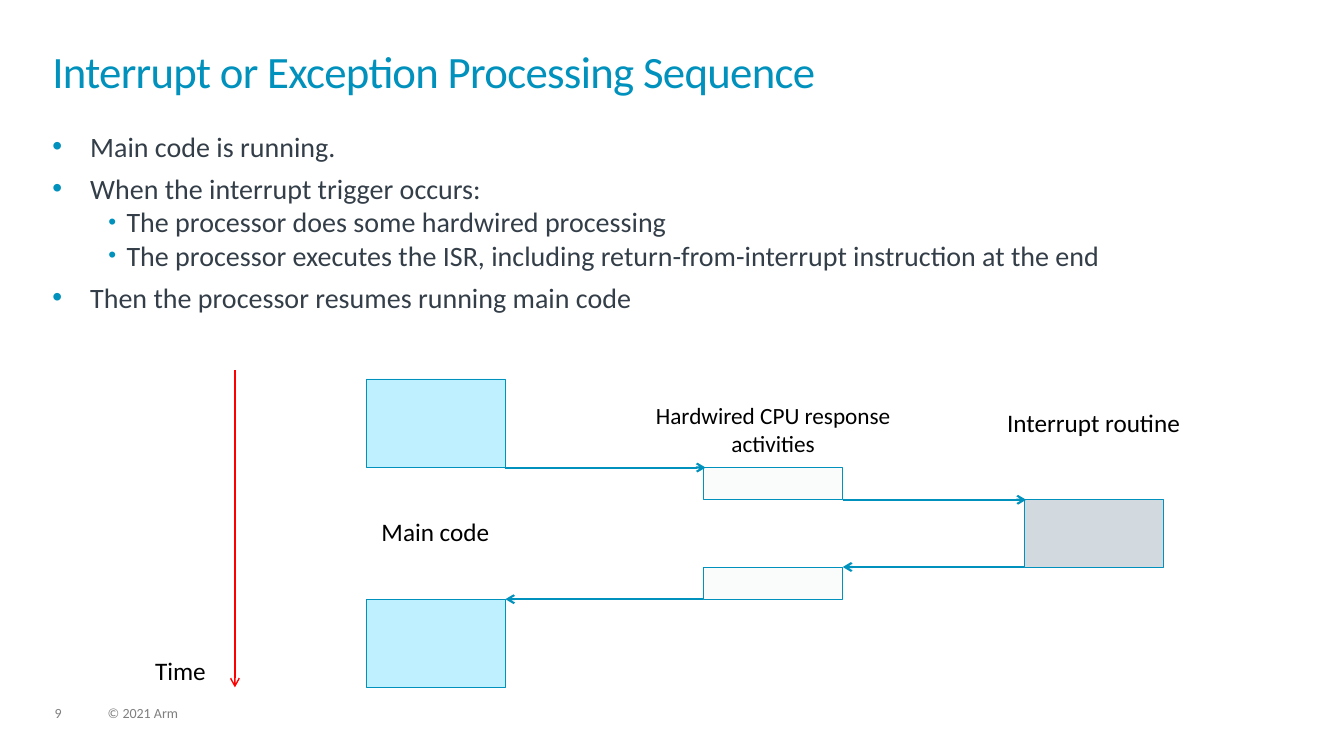
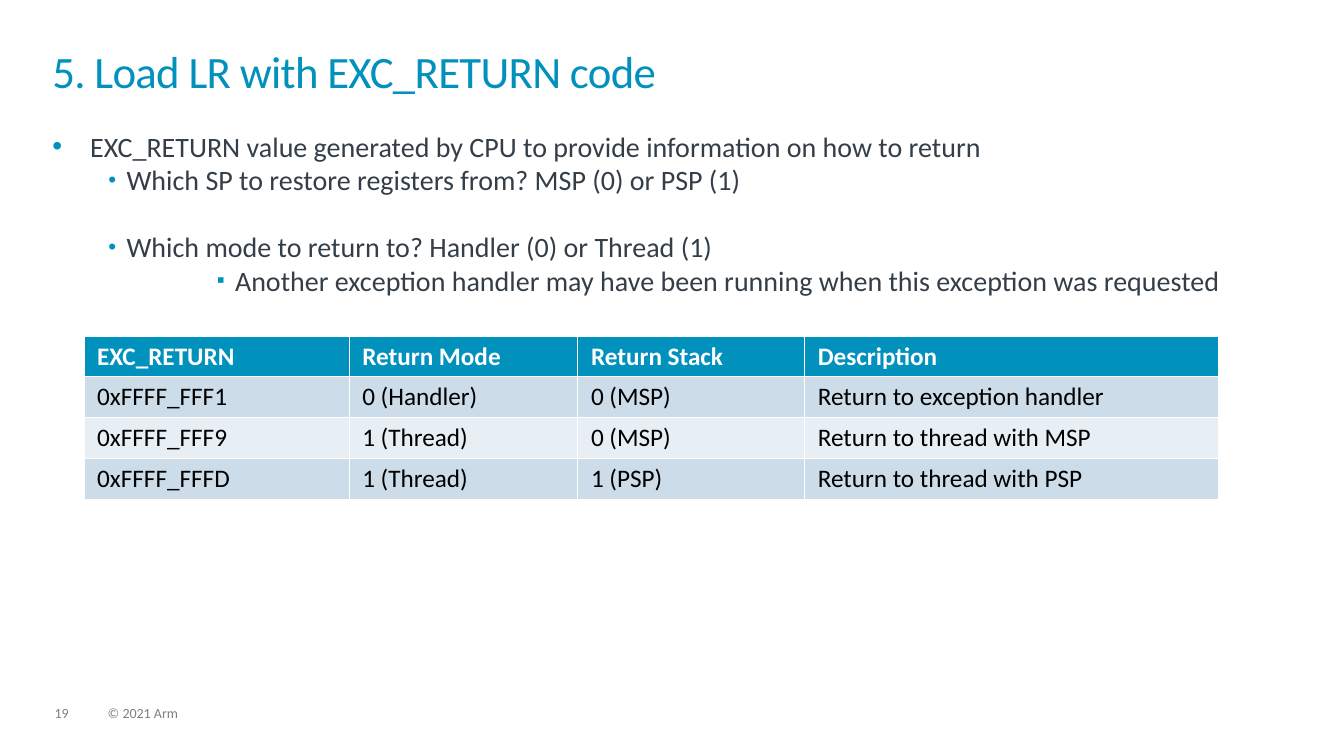
from lxml.etree import SubElement
from pptx import Presentation
from pptx.dml.color import RGBColor
from pptx.enum.shapes import MSO_CONNECTOR, MSO_SHAPE
from pptx.enum.text import MSO_ANCHOR, MSO_AUTO_SIZE, PP_ALIGN
from pptx.oxml.ns import qn
from pptx.util import Pt

BLUE = RGBColor(0x00, 0x91, 0xBD)
SLATE = RGBColor(0x33, 0x3E, 0x48)
GREY = RGBColor(0x7F, 0x7F, 0x7F)
BLACK = RGBColor(0x00, 0x00, 0x00)
WHITE = RGBColor(0xFF, 0xFF, 0xFF)
RED = RGBColor(0xFF, 0x00, 0x00)
PALE_BLUE = RGBColor(0xBF, 0xF0, 0xFF)
PALE_GREY = RGBColor(0xFA, 0xFB, 0xFB)
MID_GREY = RGBColor(0xD2, 0xD9, 0xDF)
BAND_DARK = RGBColor(0xCC, 0xDC, 0xE8)
BAND_LIGHT = RGBColor(0xE7, 0xEE, 0xF4)

FRAME = dict(margin_left=0, margin_top=0, margin_right=0, margin_bottom=0,
             word_wrap=True, auto_size=MSO_AUTO_SIZE.NONE,
             vertical_anchor=MSO_ANCHOR.TOP)
TITLE_P = dict(alignment=PP_ALIGN.LEFT, line_spacing=0.85)
FOOTER_P = dict(line_spacing=0.9)
LABEL_P = dict(alignment=PP_ALIGN.CENTER)

# List level: left indent, hanging indent, bullet, bullet size in percent
LEVELS = {0: (27, 27, "•", 100), 1: (53, 13, "•", 80), 5: (130.5, 13, "▪", 80)}


def set_attrs(obj, values):
    for name, value in values.items():
        setattr(obj, name, value)


def write(p, text, size, color, p_format, bold=False):
    set_attrs(p, p_format)
    r = p.add_run()
    r.text = text
    set_attrs(r.font, dict(name="Calibri", size=Pt(size), bold=bold))
    r.font.color.rgb = color
    return r


prs = Presentation()
prs.slide_width, prs.slide_height = Pt(960), Pt(540)

# Slide number, title, and list items as (level, space before, text)
PAGES = [
    ("9", "Interrupt or Exception Processing Sequence", [
        (0, 0, "Main code is running."),
        (0, 6, "When the interrupt trigger occurs:"),
        (1, 0, "The processor does some hardwired processing"),
        (1, 0, "The processor executes the ISR, including "
               "return-from-interrupt instruction at the end"),
        (0, 6, "Then the processor resumes running main code")]),
    ("19", "5. Load LR with EXC_RETURN code", [
        (0, 0, "EXC_RETURN value generated by CPU to provide information "
               "on how to return"),
        (1, 0, "Which SP to restore registers from? MSP (0) or PSP (1)"),
        (1, 24, "Which mode to return to? Handler (0) or Thread (1)"),
        (5, 0, "Another exception handler may have been running when this "
               "exception was requested")]),
]

# Title, list and footer of every slide
for number, title, items in PAGES:
    s = prs.slides.add_slide(prs.slide_layouts[1])
    body = s.placeholders[1]
    for sp, top, height in ((s.shapes.title, 37.4, 52), (body, 92.2, 389.5)):
        set_attrs(sp, dict(left=Pt(37.4), top=Pt(top),
                           width=Pt(884), height=Pt(height)))
        set_attrs(sp.text_frame, FRAME)

    r = write(s.shapes.title.text_frame.paragraphs[0], title, 32, BLUE, TITLE_P)
    r.font.fill.solid()
    r.font.color.rgb = BLUE
    r._r.get_or_add_rPr().set("spc", "-50")

    tf = body.text_frame
    for i, (level, before, text) in enumerate(items):
        p = tf.add_paragraph() if i else tf.paragraphs[0]
        indent, hang, bullet, percent = LEVELS[level]
        pPr = p._p.get_or_add_pPr()
        pPr.set("marL", str(Pt(indent)))
        pPr.set("indent", str(-Pt(hang)))
        bu_color = SubElement(pPr, qn("a:buClr"))
        SubElement(bu_color, qn("a:srgbClr"), val=str(BLUE))
        SubElement(pPr, qn("a:buSzPct"), val=str(percent * 1000))
        SubElement(pPr, qn("a:buFont"), typeface="Arial")
        SubElement(pPr, qn("a:buChar"), char=bullet)
        write(p, text, 20, SLATE,
              dict(level=level, space_before=Pt(before), space_after=Pt(0)))

    for text, left, width in ((number, 39, 24), ("© 2021 Arm", 77, 365)):
        tf = s.shapes.add_textbox(Pt(left), Pt(504.7), Pt(width), Pt(11)).text_frame
        set_attrs(tf, FRAME)
        write(tf.paragraphs[0], text, 10, GREY, FOOTER_P)

sequence, codes = prs.slides

# Sequence diagram: three columns, and the moments where control changes hands
BOX_W = 99.5
MAIN_X, CPU_X, ISR_X = 261.5, 502.5, 731.5
START, TRIGGER, ENTER, LEAVE, RESUME, END = 270.7, 334, 357, 405, 428, 491
BOXES = [
    (MAIN_X, START, TRIGGER, PALE_BLUE),
    (MAIN_X, RESUME, END, PALE_BLUE),
    (CPU_X, TRIGGER, ENTER, PALE_GREY),
    (CPU_X, LEAVE, RESUME, PALE_GREY),
    (ISR_X, ENTER, LEAVE, MID_GREY),
]
for x, top, bottom, fill in BOXES:
    sp = sequence.shapes.add_shape(MSO_SHAPE.RECTANGLE, Pt(x), Pt(top),
                                   Pt(BOX_W), Pt(bottom - top))
    sp.shadow.inherit = False
    sp.fill.solid()
    sp.fill.fore_color.rgb = fill
    sp.line.color.rgb = BLUE
    sp.line.width = Pt(0.5)

# Control flow arrows and the time axis
ARROWS = [
    (MAIN_X + BOX_W, TRIGGER, CPU_X + 1.5, TRIGGER, BLUE, 1.5),
    (CPU_X + BOX_W, ENTER, ISR_X + 1.5, ENTER, BLUE, 1.5),
    (ISR_X, LEAVE, CPU_X + BOX_W, LEAVE, BLUE, 1.5),
    (CPU_X, RESUME, MAIN_X + BOX_W, RESUME, BLUE, 1.5),
    (167.8, 264.2, 167.8, END, RED, 1),
]
for x1, y1, x2, y2, color, width in ARROWS:
    sp = sequence.shapes.add_connector(MSO_CONNECTOR.STRAIGHT,
                                       Pt(x1), Pt(y1), Pt(x2), Pt(y2))
    sp.line.color.rgb = color
    sp.line.width = Pt(width)
    spPr = sp._element.spPr
    SubElement(spPr.find(qn("a:ln")), qn("a:tailEnd"), type="arrow")
    SubElement(spPr, qn("a:effectLst"))

# Diagram labels
LABELS = [
    ("Main code", 269.3, 368.6, 83.5, 24, 18),
    ("Hardwired CPU response activities", 447.8, 286.6, 208.8, 36, 16.6),
    ("Interrupt routine", 712, 290.9, 138.2, 24, 18),
    ("Time", 109.4, 468, 39, 23, 18),
]
for text, left, top, width, height, size in LABELS:
    tf = sequence.shapes.add_textbox(Pt(left), Pt(top),
                                     Pt(width), Pt(height)).text_frame
    set_attrs(tf, FRAME)
    write(tf.paragraphs[0], text, size, BLACK, LABEL_P)

# Table of return codes
ROWS = [
    ("EXC_RETURN", "Return Mode", "Return Stack", "Description"),
    ("0xFFFF_FFF1", "0 (Handler)", "0 (MSP)", "Return to exception handler"),
    ("0xFFFF_FFF9", "1 (Thread)", "0 (MSP)", "Return to thread with MSP"),
    ("0xFFFF_FFFD", "1 (Thread)", "1 (PSP)", "Return to thread with PSP"),
]
COL_WIDTHS = (189.4, 163.4, 162, 295.6)
ROW_H = 29.2
CELL = dict(margin_left=Pt(9.4), margin_right=Pt(9.4),
            margin_top=Pt(3.6), margin_bottom=Pt(3.6))

table = codes.shapes.add_table(len(ROWS), len(COL_WIDTHS), Pt(60), Pt(240),
                               Pt(sum(COL_WIDTHS)), Pt(ROW_H * len(ROWS))).table
for column, width in zip(table.columns, COL_WIDTHS):
    column.width = Pt(width)
for i, row in enumerate(ROWS):
    header = i == 0
    fill = BLUE if header else BAND_DARK if i % 2 else BAND_LIGHT
    for j, text in enumerate(row):
        cell = table.cell(i, j)
        set_attrs(cell, CELL)
        cell.fill.solid()
        cell.fill.fore_color.rgb = fill
        write(cell.text_frame.paragraphs[0], text, 18,
              WHITE if header else BLACK, {}, bold=header)

prs.save("out.pptx")
